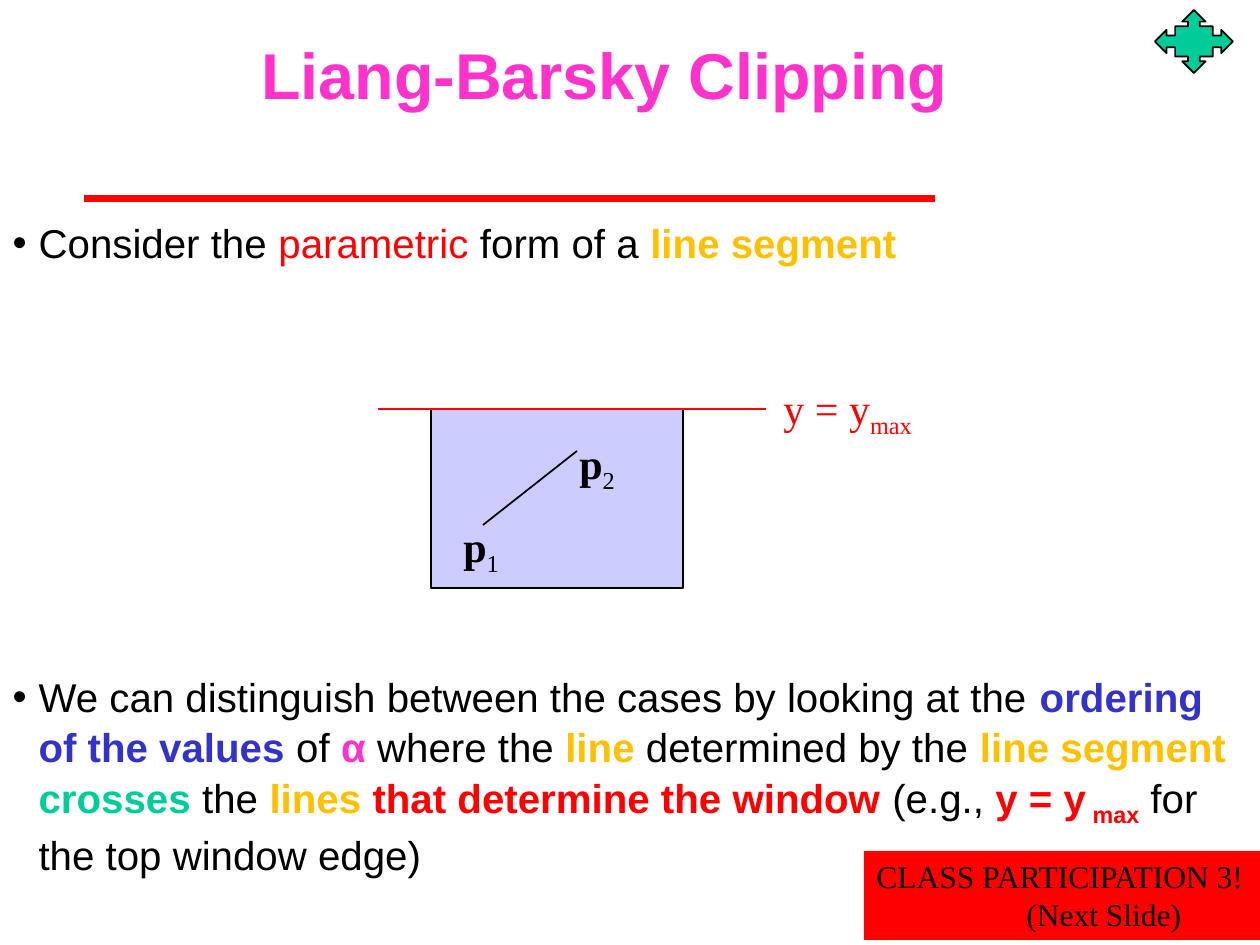
from pptx import Presentation
from pptx.dml.color import RGBColor
from pptx.enum.shapes import MSO_CONNECTOR as Connector, MSO_SHAPE as Shape
from pptx.enum.text import MSO_ANCHOR as Anchor, MSO_AUTO_SIZE as AutoSize, PP_ALIGN as Align
from pptx.oxml.ns import qn
from pptx.util import Pt
from lxml.etree import SubElement

PX = 914400 / 126
SANS, SERIF = "Arial", "Times New Roman"
BLACK, RED, GOLD, BLUE = "000000", "FF0000", "FFC000", "3333CC"
PINK, GREEN, LILAC = "FF33CC", "00CC99", "CCCCFF"

# Content: each run is text, colour, bold, subscript
TITLE = [("Liang-Barsky Clipping", PINK, True)]
BULLETS = [  # space before in points, runs
    (0, [("Consider the ", BLACK), ("parametric", RED), (" form of a ", BLACK),
         ("line segment", GOLD, True)]),
    (231, [("We can distinguish between the cases by looking at the ", BLACK),
           ("ordering of the values", BLUE, True), (" of ", BLACK),
           ("α ", PINK, True), ("where the ", BLACK), ("line", GOLD, True),
           (" determined by the ", BLACK), ("line segment ", GOLD, True),
           ("crosses", GREEN, True), (" the ", BLACK), ("lines", GOLD, True),
           (" that determine the window ", RED, True), ("(e.g., ", BLACK),
           ("y = y", RED, True), (" max", RED, True, True),
           (" for the top window edge)", BLACK)]),
]
LABELS = [  # left, top, width, height, runs
    (451, 514, 73, 63, [("p", BLACK, True), ("1", BLACK, False, True)]),
    (567, 431, 73, 63, [("p", BLACK, True), ("2", BLACK, False, True)]),
    (771, 376, 160, 63, [("y = y", RED), ("max", RED, False, True)]),
]
NOTICE = [("CLASS PARTICIPATION 3!", 0), ("(Next Slide)", 150)]  # text, indent


def px(value):
    return round(value * PX)


def color(value):
    return RGBColor.from_string(value)


def place(item, left, top, width, height):
    item.left, item.top, item.width, item.height = map(px, (left, top, width, height))


def write(para, text, fill=BLACK, bold=False, sub=False, size=24, font=SERIF):
    span = para.add_run()
    span.text = text
    span.font.name, span.font.size, span.font.bold = font, Pt(size), bold
    span.font.color.rgb = color(fill)
    if sub:
        span.font._element.set("baseline", "-25000")


def indent(para, left, first=0):
    props = para._p.get_or_add_pPr()
    props.set("marL", str(px(left)))
    props.set("indent", str(px(first)))
    return props


def add_line(page, x1, y1, x2, y2, fill, weight=1):
    line = page.shapes.add_connector(Connector.STRAIGHT, *map(px, (x1, y1, x2, y2)))
    line.line.color.rgb, line.line.width = color(fill), Pt(weight)
    SubElement(line._element.spPr, qn("a:effectLst"))


def add_block(page, kind, left, top, width, height, fill, outline=None):
    block = page.shapes.add_shape(kind, *map(px, (left, top, width, height)))
    block.shadow.inherit = False
    block.fill.solid()
    block.fill.fore_color.rgb = color(fill)
    if outline:
        block.line.color.rgb, block.line.width = color(outline), Pt(1)
    else:
        block.line.fill.background()
    return block


deck = Presentation()
deck.slide_width, deck.slide_height = px(1260), px(945)
page = deck.slides.add_slide(deck.slide_layouts[1])
title, body = page.placeholders

# Title and rule
add_line(page, 84, 199, 935, 199, RED, 4)
place(title, 174, 0, 861, 147)
title.text_frame.auto_size = AutoSize.NONE
title.text_frame.vertical_anchor = Anchor.MIDDLE
title_para = title.text_frame.paragraphs[0]
title_para.alignment = Align.CENTER
for run in TITLE:
    write(title_para, *run, size=37, font=SANS)

# Bullets, with the gap for the diagram between them
place(body, 0, 210, 1260, 651)
frame = body.text_frame
frame.auto_size = AutoSize.NONE
for number, (gap, runs) in enumerate(BULLETS):
    para = frame.add_paragraph() if number else frame.paragraphs[0]
    SubElement(indent(para, 26, -26), qn("a:buChar")).set("char", "•")
    para.space_before, para.line_spacing = Pt(gap), 1.04
    for run in runs:
        write(para, *run, size=23, font=SANS)

# Clipping window, segment and top edge
add_block(page, Shape.RECTANGLE, 431, 409, 252, 179, LILAC, BLACK)
add_line(page, 483, 525, 577, 451, BLACK)
add_line(page, 378, 409, 766, 409, RED)
for *spot, runs in LABELS:
    label = page.shapes.add_textbox(*map(px, spot))
    label.text_frame.word_wrap = True
    for run in runs:
        write(label.text_frame.paragraphs[0], *run)

# Corner marker and class notice
add_block(page, Shape.QUAD_ARROW_CALLOUT, 1155, 10, 78, 63, GREEN, BLACK)
notice = add_block(page, Shape.RECTANGLE, 864, 851, 396, 89, RED).text_frame
notice.word_wrap, notice.margin_right = True, 0
notice.vertical_anchor = Anchor.TOP
for number, (text, left) in enumerate(NOTICE):
    para = notice.add_paragraph() if number else notice.paragraphs[0]
    para.alignment = Align.LEFT
    indent(para, left)
    write(para, text, size=18)

deck.save("out.pptx")
